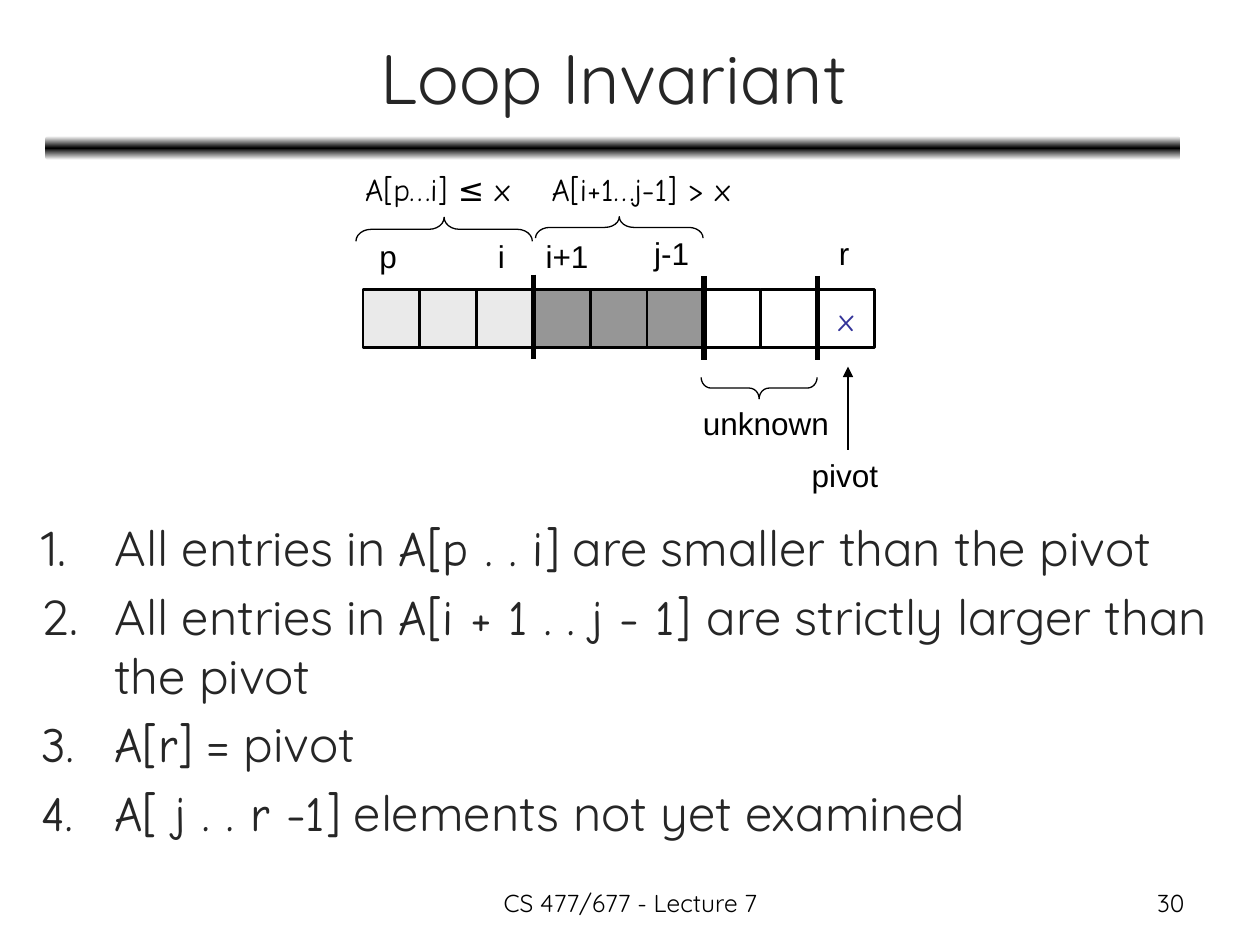
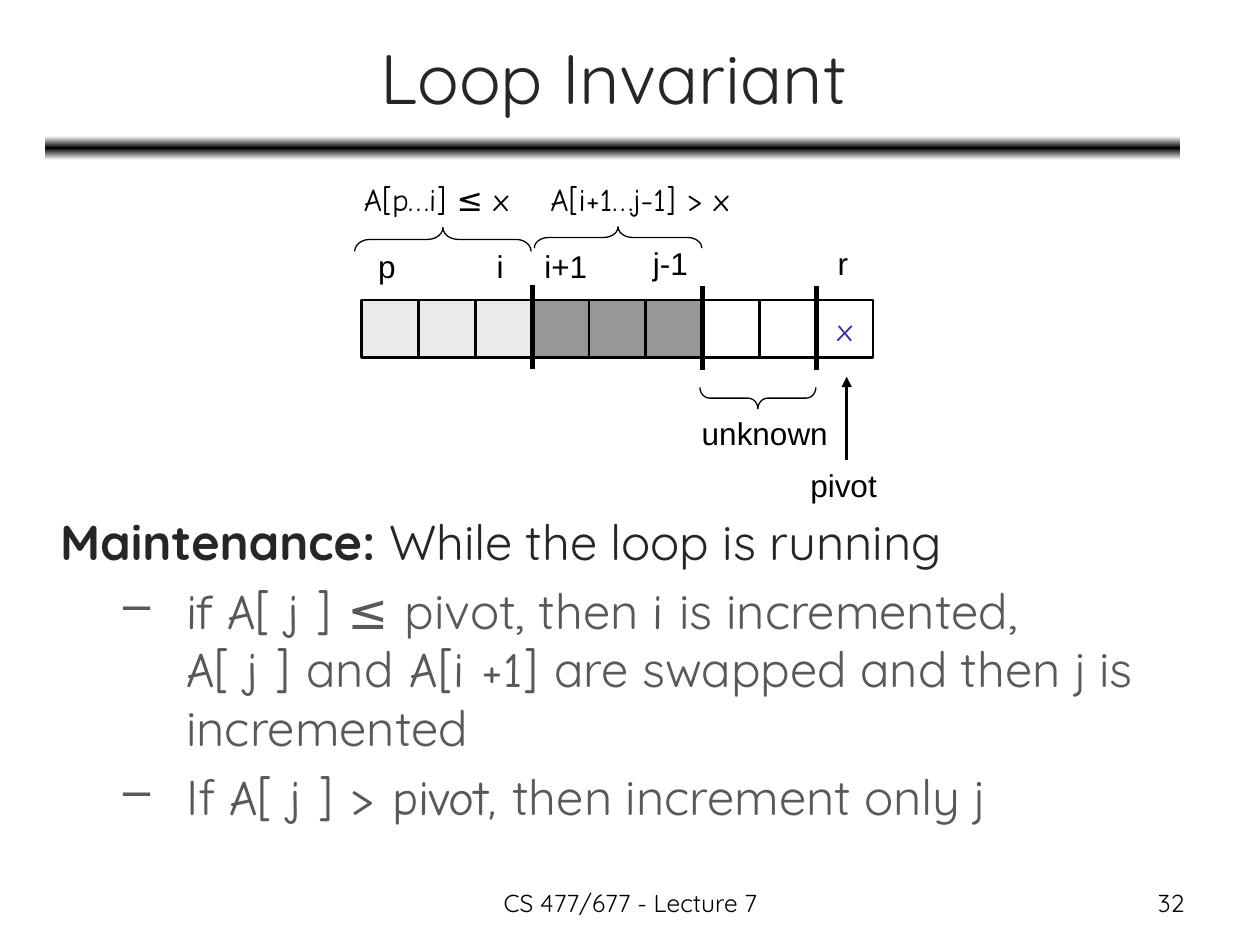
from copy import deepcopy
from dataclasses import dataclass

from lxml.etree import SubElement
from pptx import Presentation
from pptx.dml.color import RGBColor
from pptx.enum.shapes import MSO_CONNECTOR as Connector, MSO_SHAPE as Preset
from pptx.enum.text import MSO_ANCHOR as Anchor, PP_ALIGN as Align
from pptx.oxml.ns import qn
from pptx.util import Inches, Pt


@dataclass(frozen=True)
class Theme:
    """Colours, fonts and sizes shared by the slides."""
    black: str = "000000"
    white: str = "FFFFFF"
    heading: str = "262626"
    detail: str = "595959"
    small_part: str = "EAEAEA"
    large_part: str = "969696"
    pivot: str = "333399"
    text_font: str = "Quicksand"
    code_font: str = "Comic Neue"
    label_font: str = "Arial"
    title_size: int = 40
    body_size: int = 28
    label_size: int = 18
    footer_size: int = 14
    space_share: float = 0.2


THEME = Theme()


@dataclass(frozen=True)
class Label:
    """A diagram label, placed relative to the array's top left corner."""
    text: str
    left: float
    top: float
    width: float
    is_code: bool = False


@dataclass(frozen=True)
class Brace:
    """A turned brace, placed relative to the array's top left corner."""
    left: float
    top: float
    width: float
    height: float
    rotation: int
    curve: float


@dataclass(frozen=True)
class Item:
    """A body paragraph; pieces between backticks are code, a newline breaks."""
    text: str
    bullet: str = ""
    lead: str = ""
    color: str = THEME.heading
    margin: float = 0.58
    hanging: float = 0.58


@dataclass(frozen=True)
class Page:
    """What differs from slide to slide."""
    number: int
    array_origin: tuple[float, float]
    body_box: tuple[float, float, float, float]
    items: list[Item]


CELL_PITCH = 3.61 / 8
CELL_WIDTH, CELL_HEIGHT = 0.45, 0.46
CELL_FILLS = [THEME.small_part] * 3 + [THEME.large_part] * 3 + [None] * 3
BOUNDARIES = {3: -0.12, 6: -0.11, 8: -0.11}  # cell index: top of the bar
BAR_LENGTH = 0.67

LABELS = [
    Label("A[p…i] ≤ x", -0.08, -1, 1.46, True),
    Label("A[i+1…j-1] > x", 1.4, -1, 1.91, True),
    Label("p", 0.03, -0.47, 0.34),
    Label("i", 0.97, -0.47, 0.26),
    Label("i+1", 1.35, -0.47, 0.54),
    Label("j-1", 2.21, -0.49, 0.48),
    Label("r", 3.68, -0.49, 0.28),
    Label("unknown", 2.6, 0.86, 1.2),
    Label("pivot", 3.46, 1.27, 0.73),
]
BRACES = [
    Brace(0.55, -1.18, 0.19, 1.4, 90, 0.63),
    Brace(1.95, -1.16, 0.17, 1.33, 90, 0.67),
    Brace(3.06, 0.32, 0.17, 0.92, 270, 0.46),
]


def format_run(run, font: str, size: int, color: str, bold: bool = False) -> None:
    """Set the font of one run."""
    run.font.name = font
    run.font.size = Pt(size)
    run.font.color.rgb = RGBColor.from_string(color)
    run.font.bold = bold


def add_text(slide, box, text: str, font: str, size: int, color: str = THEME.black,
             align=Align.LEFT, anchor=Anchor.TOP, wrap: bool = True) -> None:
    """Add a text box with a single formatted line."""
    frame = slide.shapes.add_textbox(*map(Inches, box)).text_frame
    frame.word_wrap = wrap
    frame.vertical_anchor = anchor
    frame.text = text
    paragraph = frame.paragraphs[0]
    paragraph.alignment = align
    format_run(paragraph.runs[0], font, size, color)


def add_outline(slide, preset, box, width: float, fill: str | None = None):
    """Add a black outlined preset shape, filled or empty."""
    shape = slide.shapes.add_shape(preset, *map(Inches, box))
    shape.shadow.inherit = False
    shape.line.color.rgb = RGBColor.from_string(THEME.black)
    shape.line.width = Pt(width)
    if fill:
        shape.fill.solid()
        shape.fill.fore_color.rgb = RGBColor.from_string(fill)
    else:
        shape.fill.background()
    return shape


def add_line(slide, start, end, width: float, arrow: bool = False) -> None:
    """Add a straight black line, with an arrowhead at its end if asked."""
    line = slide.shapes.add_connector(Connector.STRAIGHT, *map(Inches, (*start, *end)))
    line.line.color.rgb = RGBColor.from_string(THEME.black)
    line.line.width = Pt(width)
    properties = line._element.spPr
    if arrow:
        SubElement(properties.find(qn("a:ln")), qn("a:tailEnd"), type="triangle")
    SubElement(properties, qn("a:effectLst"))


def add_band(slide) -> None:
    """Add the gradient band under the title."""
    box = map(Inches, (0.36, 1.08, 9.01, 0.19))
    band = slide.shapes.add_shape(Preset.ROUNDED_RECTANGLE, *box)
    band.shadow.inherit = False
    band.line.fill.background()
    band.fill.gradient()
    band.fill.gradient_angle = 90
    stop_list = band._element.spPr.find(qn("a:gradFill")).find(qn("a:gsLst"))
    stop_list.append(deepcopy(stop_list[0]))
    colors = (THEME.white, THEME.black, THEME.white)
    for stop, position, color in zip(band.fill.gradient_stops, (0, 0.5, 1), colors):
        stop.position = position
        stop.color.rgb = RGBColor.from_string(color)


def add_frame(slide, number: int) -> None:
    """Add the band, title, footer and slide number."""
    add_band(slide)
    add_text(slide, (0.37, 0.11, 9, 0.99), "Loop Invariant", THEME.text_font,
             THEME.title_size, THEME.heading, Align.CENTER, Anchor.MIDDLE)
    add_text(slide, (3.42, 7, 3.17, 0.35), "CS 477/677 - Lecture 7", THEME.text_font,
             THEME.footer_size, align=Align.CENTER)
    add_text(slide, (7.17, 7, 2.33, 0.35), str(number), THEME.text_font,
             THEME.footer_size, align=Align.RIGHT)


def add_array(slide, origin: tuple[float, float]) -> None:
    """Draw the partitioned array with its braces, labels and pivot arrow."""
    left, top = origin
    for index, fill in enumerate(CELL_FILLS):
        box = (left + index * CELL_PITCH, top, CELL_WIDTH, CELL_HEIGHT)
        cell = add_outline(slide, Preset.RECTANGLE, box, 1.5, fill)
    cell.text_frame.text = "x"  # the last cell holds the pivot
    paragraph = cell.text_frame.paragraphs[0]
    paragraph.alignment = Align.CENTER
    paragraph.space_before = Pt(THEME.label_size * THEME.space_share)
    format_run(paragraph.runs[0], THEME.code_font, THEME.label_size, THEME.pivot)

    for index, offset in BOUNDARIES.items():
        x, y = left + index * CELL_PITCH, top + offset
        add_line(slide, (x, y), (x, y + BAR_LENGTH), 3)
    for brace in BRACES:
        box = (left + brace.left, top + brace.top, brace.width, brace.height)
        shape = add_outline(slide, Preset.LEFT_BRACE, box, 0.75)
        shape.rotation = brace.rotation
        shape.adjustments[0] = brace.curve
    for label in LABELS:
        add_text(slide, (left + label.left, top + label.top, label.width, 0.4), label.text,
                 THEME.code_font if label.is_code else THEME.label_font, THEME.label_size,
                 align=Align.LEFT if label.is_code else Align.CENTER, wrap=label.is_code)
    add_line(slide, (left + 3.85, top + 1.27), (left + 3.85, top + 0.61), 1.5, arrow=True)


def set_bullet(paragraph, item: Item) -> None:
    """Set the hanging indent and the number or dash of a paragraph."""
    properties = paragraph._p.get_or_add_pPr()
    properties.set("marL", str(Inches(item.margin)))
    properties.set("indent", str(-Inches(item.hanging)))
    if item.bullet == "number":
        SubElement(properties, qn("a:buAutoNum"), type="arabicPeriod")
    elif item.bullet:
        SubElement(properties, qn("a:buChar"), char=item.bullet)
    else:
        SubElement(properties, qn("a:buNone"))


def add_piece(paragraph, text: str, font: str, color: str, bold: bool = False) -> None:
    """Add text in one font, with a line break for each newline."""
    for index, line in enumerate(text.split("\n")):
        if index:
            paragraph.add_line_break()
        if line:
            run = paragraph.add_run()
            run.text = line
            format_run(run, font, THEME.body_size, color, bold)


def add_body(slide, box, items: list[Item]) -> None:
    """Add the list of body paragraphs."""
    frame = slide.shapes.add_textbox(*map(Inches, box)).text_frame
    frame.word_wrap = True
    for index, item in enumerate(items):
        paragraph = frame.add_paragraph() if index else frame.paragraphs[0]
        paragraph.space_before = Pt(THEME.body_size * THEME.space_share)
        set_bullet(paragraph, item)
        add_piece(paragraph, item.lead, THEME.text_font, item.color, bold=True)
        for position, piece in enumerate(item.text.split("`")):
            font = THEME.code_font if position % 2 else THEME.text_font
            add_piece(paragraph, piece, font, item.color)


def numbered(text: str) -> Item:
    """Make a numbered paragraph."""
    return Item(text, "number")


def dashed(text: str) -> Item:
    """Make a second level paragraph with a dash."""
    return Item(text, "–", color=THEME.detail, margin=1, hanging=0.5)


PAGES = [
    Page(30, (2.88, 2.3), (0.23, 4.06, 9.57, 3.09), [
        numbered("All entries in `A[p . . i]` are smaller than the pivot"),
        numbered("All entries in `A[i + 1 . . j - 1] `are strictly larger than the pivot"),
        numbered("`A[r]` = pivot"),
        numbered("`A[ j . . r -1]` elements not yet examined"),
    ]),
    Page(32, (2.87, 2.38), (0.38, 4.01, 8.73, 3.23), [
        Item("While the loop is running", lead="Maintenance: "),
        dashed("`if A[ j ] ≤ `pivot, then `i `is incremented, \n"
               "`A[ j ] `and` A[i +1] `are swapped and then j is incremented"),
        dashed("If `A[ j ] > pivot, `then increment only j "),
    ]),
]


def main() -> None:
    """Build and save the presentation."""
    presentation = Presentation()
    presentation.slide_width, presentation.slide_height = Inches(10), Inches(7.5)
    for page in PAGES:
        slide = presentation.slides.add_slide(presentation.slide_layouts[6])
        add_frame(slide, page.number)
        add_body(slide, page.body_box, page.items)
        add_array(slide, page.array_origin)
    presentation.save("out.pptx")


main()
